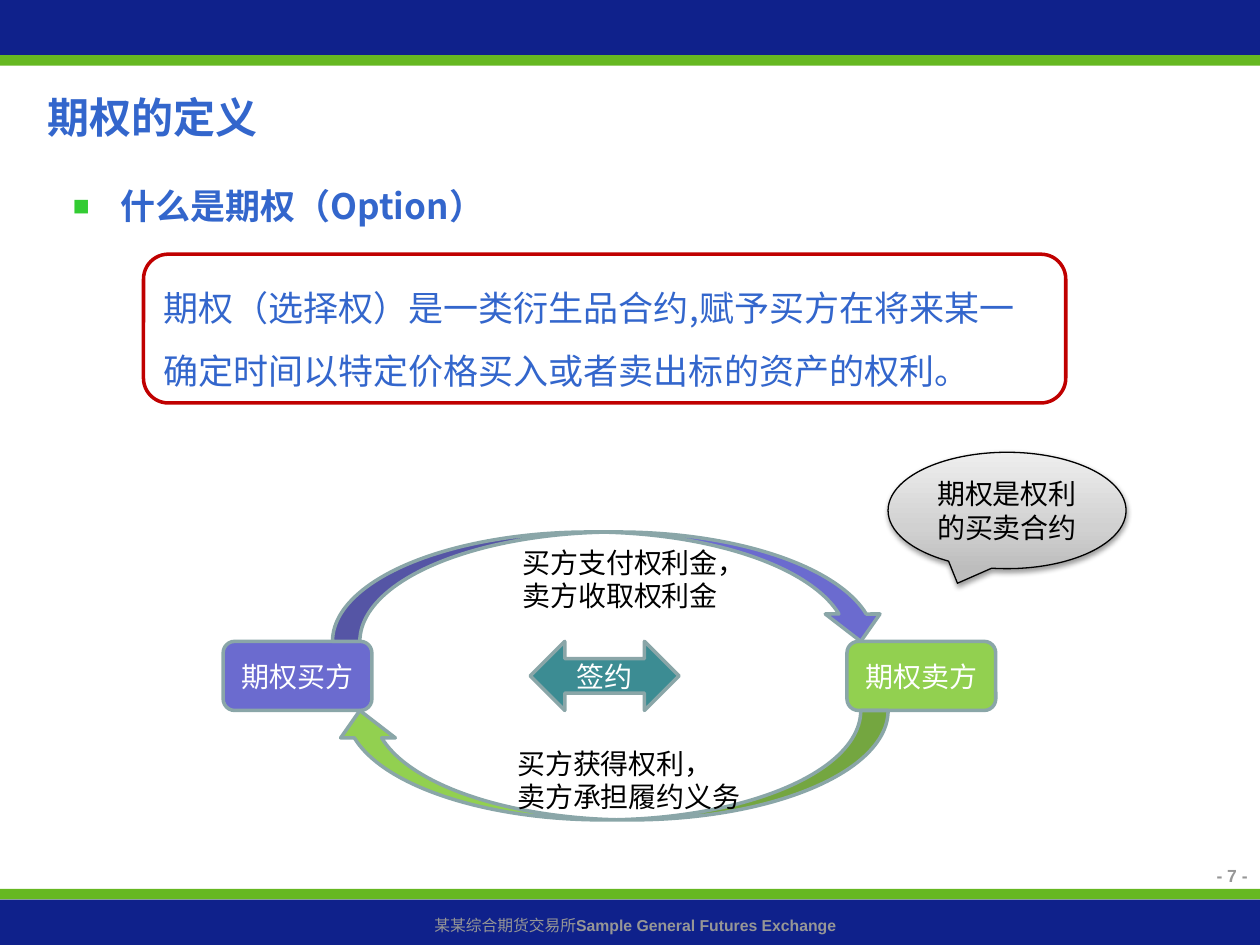
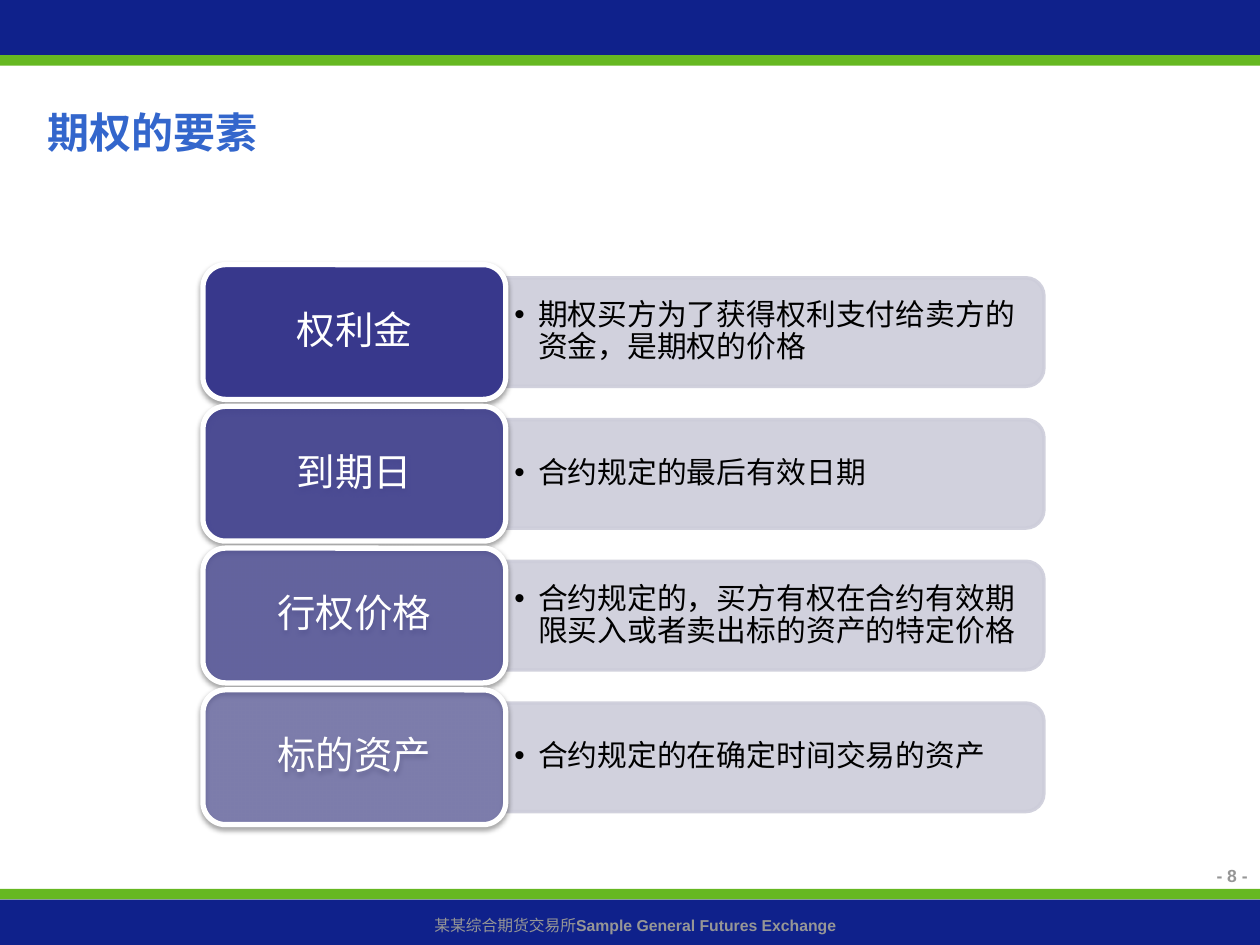
from lxml import etree
from pptx import Presentation
from pptx.dml.color import RGBColor
from pptx.enum.shapes import MSO_SHAPE
from pptx.enum.text import MSO_ANCHOR, MSO_AUTO_SIZE, PP_ALIGN
from pptx.oxml.ns import qn
from pptx.util import Pt

LEFT, CENTER, RIGHT = PP_ALIGN.LEFT, PP_ALIGN.CENTER, PP_ALIGN.RIGHT
TOP, MIDDLE = MSO_ANCHOR.TOP, MSO_ANCHOR.MIDDLE
RECT, ROUND_RECT = MSO_SHAPE.RECTANGLE, MSO_SHAPE.ROUNDED_RECTANGLE
SIDE_ROUND = MSO_SHAPE.ROUND_2_SAME_RECTANGLE
DOUBLE_ARROW, CURVED_ARROW = MSO_SHAPE.LEFT_RIGHT_ARROW, MSO_SHAPE.CURVED_DOWN_ARROW
CALLOUT = MSO_SHAPE.OVAL_CALLOUT

# Shared look
WIDTH, HEIGHT = 720, 540
LATIN, CJK = "Arial", "Noto Sans CJK SC"
NAVY, GREEN, BLUE, GREY = "0F218B", "66B821", "3366CC", "969696"
WHITE, BLACK, RED = "FFFFFF", "000000", "C00000"
VIOLET, LIME, TEAL, EDGE = "6B6BCF", "92D050", "3C8C93", "8AA6A8"
INDIGO, PALE, BULLET_GREEN = "2D2D8A", "CDCDDA", "33CC33"

# Content
BANDS = [(0, 31.5, NAVY), (508, 6, GREEN), (31.5, 6, GREEN), (514, 26, NAVY)]
FOOTER = [("某某综合期货交易所", False), ("Sample General Futures Exchange", True)]

DEFINITION_TITLE = "期权的定义"
QUESTION = "什么是期权（Option）"
DEFINITION = "期权（选择权）是一类衍生品合约,赋予买方在将来某一确定时间以特定价格买入或者卖出标的资产的权利。"
PARTIES = [  # label, left, shape, fill
    ("期权买方", 127.5, ROUND_RECT, VIOLET),
    ("期权卖方", 484, ROUND_RECT, LIME),
    ("签约", 303, DOUBLE_ARROW, TEAL),
]
EXCHANGES = [  # lines, left, top, width
    (["买方支付权利金，卖方收取权利金"], 291.5, 308, 142),
    (["买方获得权利，", "卖方承担履约义务"], 288.5, 422.75, 168),
]
REMARK = "期权是权利的买卖合约"
REMARK_SHADES = [(0, "BDBDBD"), (35, "D1D1D1"), (100, "EEEEEE")]

ELEMENTS_TITLE = "期权的要素"
ELEMENTS = [  # name, meaning, opacity of the label
    ("权利金", "期权买方为了获得权利支付给卖方的资金，是期权的价格", 90),
    ("到期日", "合约规定的最后有效日期", 77),
    ("行权价格", "合约规定的，买方有权在合约有效期限买入或者卖出标的资产的特定价格", 63),
    ("标的资产", "合约规定的在确定时间交易的资产", 50),
]


def rgb(code):
    return RGBColor.from_string(code)


def add_run(paragraph, text, size, color, bold=False, font=CJK):
    run = paragraph.add_run()
    run.text = text
    run.font.size, run.font.bold, run.font.name = Pt(size), bold, font
    run.font.color.rgb = rgb(color)
    etree.SubElement(run.font._element, qn("a:ea"), typeface=CJK)


def write(frame, lines, size, color, align=LEFT, anchor=TOP, spacing=1.0, bold=False, font=CJK):
    """Each line is a string and becomes one paragraph."""
    frame.word_wrap, frame.auto_size = True, MSO_AUTO_SIZE.NONE
    frame.vertical_anchor = anchor
    for i, line in enumerate(lines):
        paragraph = frame.add_paragraph() if i else frame.paragraphs[0]
        paragraph.alignment, paragraph.line_spacing = align, spacing
        add_run(paragraph, line, size, color, bold, font)
    return frame


def place(shape, left, top, width, height):
    shape.left, shape.top, shape.width, shape.height = Pt(left), Pt(top), Pt(width), Pt(height)


def add_box(slide, kind, left, top, width, height, fill, line=None, weight=2):
    shape = slide.shapes.add_shape(kind, Pt(left), Pt(top), Pt(width), Pt(height))
    shape.shadow.inherit = False
    shape.fill.solid()
    shape.fill.fore_color.rgb = rgb(fill)
    if line:
        shape.line.color.rgb, shape.line.width = rgb(line), Pt(weight)
    else:
        shape.line.fill.background()
    return shape


def add_text(slide, left, top, width, height):
    return slide.shapes.add_textbox(Pt(left), Pt(top), Pt(width), Pt(height)).text_frame


def set_opacity(part, percent):
    for color in part.iter(qn("a:srgbClr")):
        etree.SubElement(color, qn("a:alpha"), val=str(percent * 1000))


def add_shadow(shape):
    effects = shape.element.spPr.find(qn("a:effectLst"))
    shadow = etree.SubElement(effects, qn("a:outerShdw"), blurRad=str(Pt(3.1)), dist=str(Pt(1.6)),
                              dir="5400000", rotWithShape="0")
    color = etree.SubElement(shadow, qn("a:srgbClr"), val=BLACK)
    etree.SubElement(color, qn("a:alpha"), val="38000")


def set_bullet(paragraph, char, indent, color, percent=100):
    props = paragraph._p.get_or_add_pPr()
    props.set("marL", str(Pt(indent)))
    props.set("indent", str(-Pt(indent)))
    bullet_color = etree.SubElement(props, qn("a:buClr"))
    etree.SubElement(bullet_color, qn("a:srgbClr"), val=color)
    etree.SubElement(props, qn("a:buSzPct"), val=str(percent * 1000))
    etree.SubElement(props, qn("a:buFont"), typeface=LATIN)
    etree.SubElement(props, qn("a:buChar"), char=char)


def fill_master(prs, slide):
    """Draw bands and footer, then move them to the slide master."""
    parts = [add_box(slide, RECT, 0, top, WIDTH, height, color) for top, height, color in BANDS]
    footer = slide.shapes.add_textbox(Pt(6), Pt(520), Pt(WIDTH - 6), Pt(18))
    footer.text_frame.word_wrap = True
    paragraph = footer.text_frame.paragraphs[0]
    paragraph.alignment = CENTER
    for text, bold in FOOTER:
        add_run(paragraph, text, 9, GREY, bold, LATIN)
    for number, part in enumerate(parts + [footer], start=101):
        part.element.xpath(".//p:cNvPr")[0].set("id", str(number))
        prs.slide_master.shapes.element.append(part.element)


def new_slide(prs, layout, title, number, spacing):
    slide = prs.slides.add_slide(prs.slide_layouts[layout])
    place(slide.shapes.title, 20, 43, 623.5, 44)
    write(slide.shapes.title.text_frame, [title], 24, BLUE, spacing=spacing, bold=True)
    write(add_text(slide, 578, 491, 142, 26), [f"- {number} -"], 10, GREY, RIGHT,
          bold=True, font=LATIN)
    return slide


prs = Presentation()
prs.slide_width, prs.slide_height = Pt(WIDTH), Pt(HEIGHT)

# Slide 1: definition
slide = new_slide(prs, 1, DEFINITION_TITLE, 7, 1.2)
fill_master(prs, slide)
question = slide.placeholders[1]
place(question, 34.5, 90, 655, 401)
heading = write(question.text_frame, [QUESTION], 20, BLUE, spacing=1.5, bold=True).paragraphs[0]
heading.space_before = Pt(4)
set_bullet(heading, "■", 27, BULLET_GREEN, 80)

definition = add_box(slide, ROUND_RECT, 82, 145.25, 527, 85, WHITE, RED)
write(definition.text_frame, [DEFINITION], 20, BLUE, anchor=MIDDLE, spacing=1.5)

# Parties and the two flows between them
PARTY_TOP, PARTY_HEIGHT, FLOW_HEIGHT = 366.5, 39.5, 62.5
for label, left, kind, fill in PARTIES:
    party = add_box(slide, kind, left, PARTY_TOP, 85, PARTY_HEIGHT, fill, EDGE)
    write(party.text_frame, [label], 16, WHITE, CENTER, MIDDLE, font=LATIN)
flows = [(PARTY_TOP - FLOW_HEIGHT, VIOLET, 0), (PARTY_TOP + PARTY_HEIGHT, LIME, 180)]
for top, fill, turn in flows:
    flow = add_box(slide, CURVED_ARROW, 190, top, 317.5, FLOW_HEIGHT, fill, EDGE)
    flow.rotation = turn
for lines, left, top, width in EXCHANGES:
    write(add_text(slide, left, top, width, 46), lines, 16, BLACK)

# Remark in a shaded speech bubble
remark = add_box(slide, CALLOUT, 507.5, 258.5, 136, 66.5, WHITE, BLACK, 0.75)
remark.fill.gradient()
remark.fill.gradient_angle = 90
stops = remark.element.spPr.find(qn("a:gradFill")).find(qn("a:gsLst"))
for stop in list(stops):
    stops.remove(stop)
for position, shade in REMARK_SHADES:
    stop = etree.SubElement(stops, qn("a:gs"), pos=str(position * 1000))
    etree.SubElement(stop, qn("a:srgbClr"), val=shade)
add_shadow(remark)
write(remark.text_frame, [REMARK], 16, BLACK, CENTER, MIDDLE, font=LATIN)

# Slide 2: elements, one row each
slide = new_slide(prs, 5, ELEMENTS_TITLE, 8, 1.5)
FIRST_TOP, ROW_PITCH = 151.25, 81
LABEL_LEFT, LABEL_WIDTH, LABEL_HEIGHT = 116, 173, 77
BAR_LEFT, BAR_WIDTH, BAR_HEIGHT = LABEL_LEFT + LABEL_WIDTH, 307.5, 62
for row, (name, meaning, opacity) in enumerate(ELEMENTS):
    top = FIRST_TOP + row * ROW_PITCH
    middle = top + LABEL_HEIGHT / 2
    # The bar is a quarter turn of an upright shape with the same centre
    bar = add_box(slide, SIDE_ROUND, BAR_LEFT + (BAR_WIDTH - BAR_HEIGHT) / 2,
                  middle - BAR_WIDTH / 2, BAR_HEIGHT, BAR_WIDTH, PALE, PALE)
    bar.rotation = 90
    set_opacity(bar.element.spPr, 90)

    text = add_text(slide, BAR_LEFT, middle - 28, 304, 56)
    text.margin_left = text.margin_right = Pt(5)
    text.margin_top = text.margin_bottom = Pt(3)
    entry = write(text, [meaning], 17, BLACK, anchor=MIDDLE, spacing=0.9).paragraphs[0]
    entry.space_after = Pt(2.55)
    set_bullet(entry, "•", 13.5, BLACK)

    label = add_box(slide, ROUND_RECT, LABEL_LEFT, top, LABEL_WIDTH, LABEL_HEIGHT, INDIGO, WHITE, 3)
    set_opacity(label.element.spPr.find(qn("a:solidFill")), opacity)
    add_shadow(label)
    caption = write(label.text_frame, [name], 22, WHITE, CENTER, MIDDLE, 0.9, font=LATIN)
    caption.paragraphs[0].space_after = Pt(7.7)

prs.save("out.pptx")
